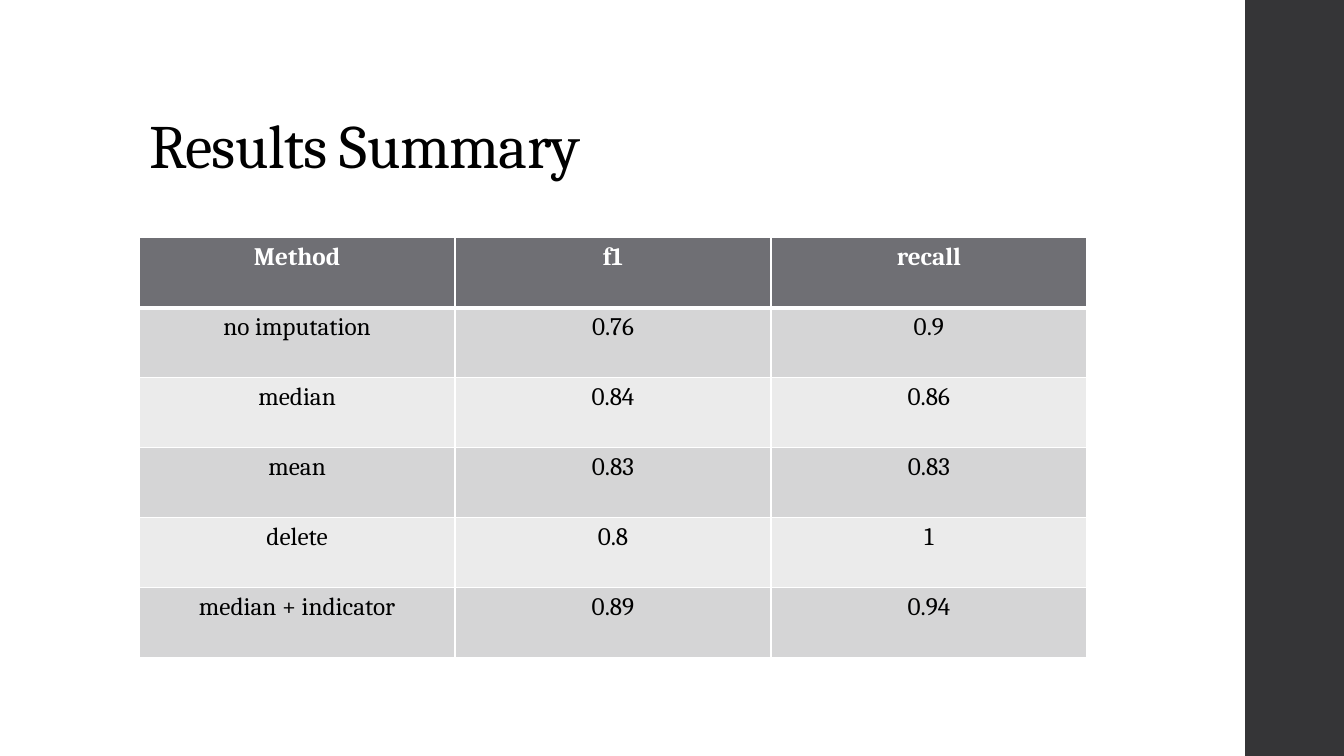
import pptx
import pptx.dml.color
import pptx.enum.text
import pptx.oxml
import pptx.oxml.ns
import pptx.util
from pptx.enum.shapes import MSO_SHAPE
from pptx.enum.text import MSO_ANCHOR, MSO_AUTO_SIZE, PP_ALIGN

RGBColor = pptx.dml.color.RGBColor
WHITE = RGBColor(0xFF, 0xFF, 0xFF)
BLACK = RGBColor(0x00, 0x00, 0x00)
CHARCOAL = RGBColor(0x35, 0x35, 0x37)
HEADER_GRAY = RGBColor(0x6F, 0x6F, 0x74)
BANDS = (RGBColor(0xD5, 0xD5, 0xD6), RGBColor(0xEB, 0xEB, 0xEB))

# Lengths are in grid units of a tenth of an inch
GRID = pptx.util.Inches(0.1)
SLIDE_COLUMNS, SLIDE_ROWS = 133.3, 75
CONTENT_LEFT, CONTENT_WIDTH = 13.8, 94

RESULTS = [
    ("Method", "f1", "recall"),
    ("no imputation", "0.76", "0.9"),
    ("median", "0.84", "0.86"),
    ("mean", "0.83", "0.83"),
    ("delete", "0.8", "1"),
    ("median + indicator", "0.89", "0.94"),
]


def units(*counts):
    return [round(count * GRID) for count in counts]


def apply(target, values):
    for name, value in values.items():
        setattr(target, name, value)


class SlideBuilder:
    font = "Cambria"

    def __init__(self, deck):
        self.slide = deck.slides.add_slide(deck.slide_layouts[5])

    def text(self, frame, words, size, color, bold=False, **para_format):
        para = frame.paragraphs[0]
        apply(para, para_format)
        span = para.add_run()
        span.text = words
        apply(span.font, {"name": self.font, "size": pptx.util.Pt(size), "bold": bold})
        span.font.color.rgb = color
        return span

    def band(self, left, top, width, height, color):
        box = self.slide.shapes.add_shape(
            MSO_SHAPE.RECTANGLE, *units(left, top, width, height))
        box.shadow.inherit = False
        box.fill.solid()
        box.fill.fore_color.rgb = color
        box.line.fill.background()

    def title(self, words, left, top, width, height):
        box = self.slide.shapes.title
        apply(box, dict(zip(("left", "top", "width", "height"),
                            units(left, top, width, height))))
        apply(box.text_frame, {"word_wrap": True, "auto_size": MSO_AUTO_SIZE.NONE,
                               "vertical_anchor": MSO_ANCHOR.BOTTOM})
        span = self.text(box.text_frame, words, 44, BLACK,
                         alignment=PP_ALIGN.LEFT, line_spacing=0.9)
        span.font._element.set("spc", "-50")

    def borders(self, cell, widths):
        properties = cell._tc.get_or_add_tcPr()
        for side, width in widths.items():
            properties.append(pptx.oxml.parse_xml(
                f'<a:ln{side} {pptx.oxml.ns.nsdecls("a")} w="{pptx.util.Pt(width)}">'
                f'<a:solidFill><a:srgbClr val="{WHITE}"/></a:solidFill></a:ln{side}>'))

    def table(self, records, left, top, width, height):
        table = self.slide.shapes.add_table(
            len(records), len(records[0]), *units(left, top, width, height)).table
        for row, record in enumerate(records):
            header = row == 0
            for column, words in enumerate(record):
                cell = table.cell(row, column)
                self.borders(cell, {"L": 1, "R": 1, "T": 3 if row == 1 else 1,
                                    "B": 3 if header else 1})
                cell.fill.solid()
                cell.fill.fore_color.rgb = HEADER_GRAY if header else BANDS[(row - 1) % 2]
                self.text(cell.text_frame, words, 18, WHITE if header else BLACK,
                          bold=header, alignment=PP_ALIGN.CENTER)


deck = pptx.Presentation()
deck.slide_width, deck.slide_height = units(SLIDE_COLUMNS, SLIDE_ROWS)
builder = SlideBuilder(deck)

# Side band
band_left = 123.5
builder.band(band_left, 0, SLIDE_COLUMNS - band_left, SLIDE_ROWS, CHARCOAL)

# Title and results table
builder.title("Results Summary", CONTENT_LEFT, 4, CONTENT_WIDTH, 14.5)
builder.table(RESULTS, CONTENT_LEFT, 23.6, CONTENT_WIDTH, 41.6)

deck.save("out.pptx")
